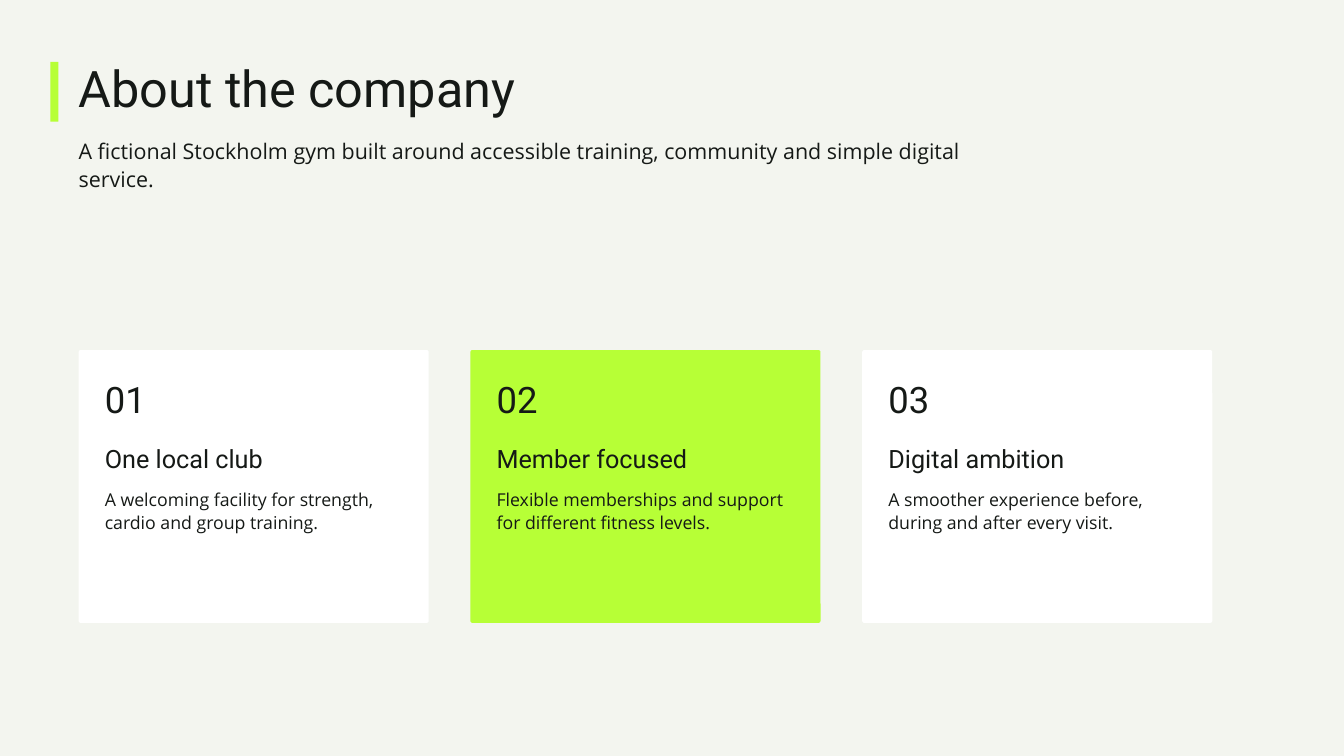
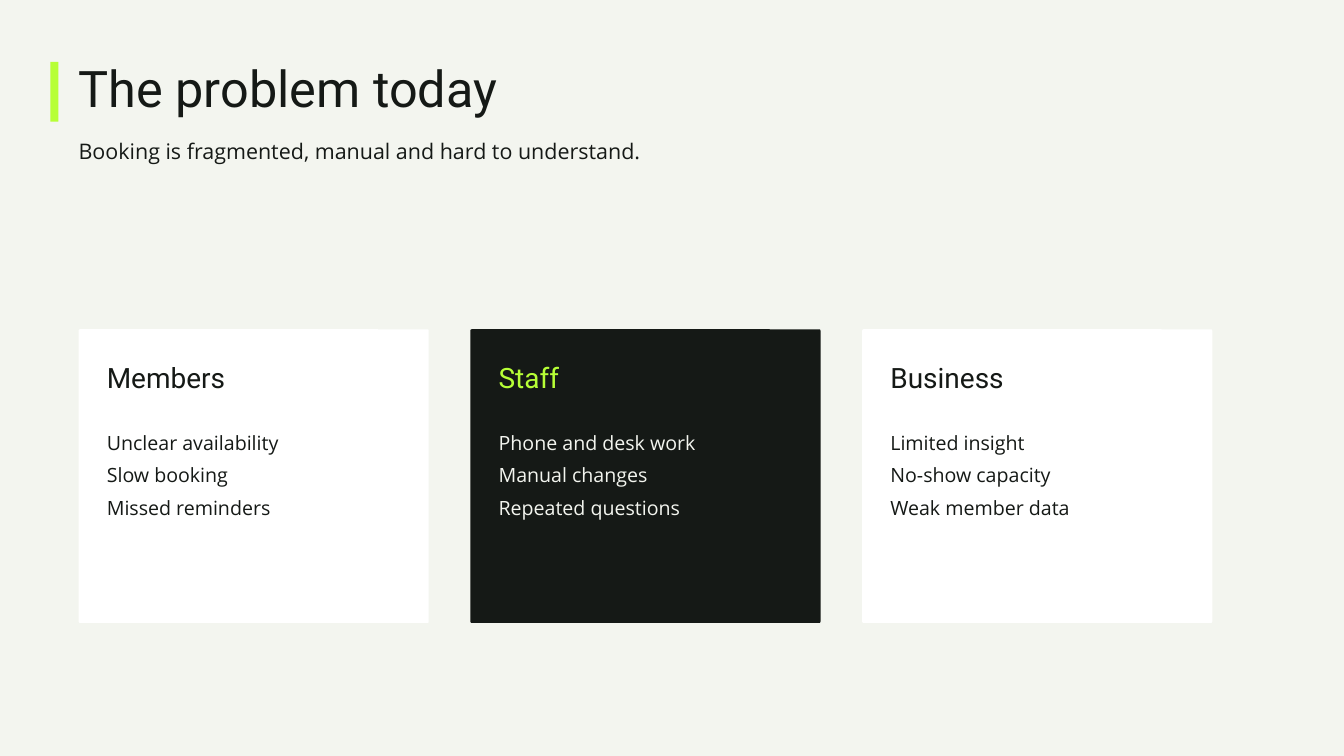
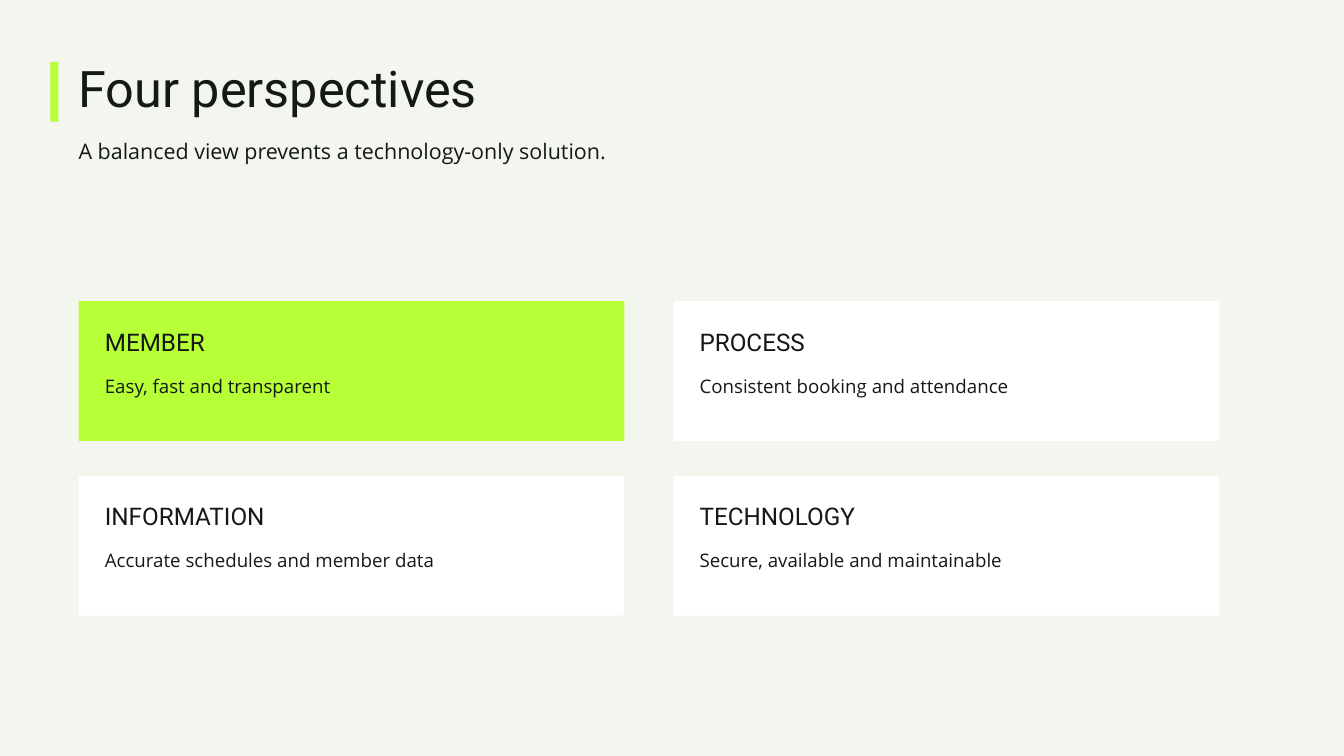
from dataclasses import dataclass

from pptx import Presentation
from pptx.dml.color import RGBColor
from pptx.enum import shapes, text
from pptx.util import Inches, Pt

INK = "151916"
LIME = "B7FF36"
PAPER = "F3F5EF"
WHITE = "FFFFFF"
HEADING_FONT = "Roboto"
BODY_FONT = "Open Sans"
MARGIN = 1.17


@dataclass(frozen=True)
class Style:
    font: str
    size: float
    leading: float


@dataclass(frozen=True)
class Field:
    style: Style
    top: float
    width: float
    height: float


@dataclass(frozen=True)
class Grid:
    top: float
    width: float
    height: float
    columns: int
    column_pitch: float
    row_pitch: float
    radius: float
    inset: float
    fields: tuple[Field, ...]


@dataclass(frozen=True)
class Card:
    texts: tuple[str, ...]
    fill: str = WHITE
    heading_color: str = INK
    body_color: str = INK


@dataclass(frozen=True)
class Page:
    title: str
    subtitle: str
    subtitle_height: float
    grid: Grid
    cards: tuple[Card, ...]


TITLE = Style(HEADING_FONT, 54, 55.1)
SUBTITLE = Style(BODY_FONT, 23, 30.4)

FACTS = Grid(5.21, 5.21, 4.06, 3, 5.83, 0, 0.03, 0.39, (
    Field(Style(HEADING_FONT, 39, 54.6), 0.29, 1.04, 0.76),
    Field(Style(HEADING_FONT, 27, 37.7), 1.31, 4.37, 0.52),
    Field(Style(BODY_FONT, 19, 25.4), 2.02, 4.37, 0.71),
))
PROBLEMS = Grid(4.9, 5.21, 4.37, 3, 5.83, 0, 0.02, 0.42, (
    Field(Style(HEADING_FONT, 30, 42), 0.38, 4.37, 0.58),
    Field(Style(BODY_FONT, 21, 34.6), 1.38, 4.37, 1.45),
))
PERSPECTIVES = Grid(4.48, 8.12, 2.08, 2, 8.85, 2.6, 0.01, 0.39, (
    Field(Style(HEADING_FONT, 26, 35.7), 0.32, 7.19, 0.5),
    Field(Style(BODY_FONT, 20, 27.2), 1.05, 7.19, 0.38),
))

PAGES = (
    Page(
        "About the company",
        "A fictional Stockholm gym built around accessible training, "
        "community and simple digital service.",
        0.84,
        FACTS,
        (
            Card(("01", "One local club",
                  "A welcoming facility for strength, cardio and group training.")),
            Card(("02", "Member focused",
                  "Flexible memberships and support for different fitness levels."),
                 fill=LIME),
            Card(("03", "Digital ambition",
                  "A smoother experience before, during and after every visit.")),
        ),
    ),
    Page(
        "The problem today",
        "Booking is fragmented, manual and hard to understand.",
        0.42,
        PROBLEMS,
        (
            Card(("Members", "Unclear availability\nSlow booking\nMissed reminders")),
            Card(("Staff", "Phone and desk work\nManual changes\nRepeated questions"),
                 fill=INK, heading_color=LIME, body_color=PAPER),
            Card(("Business", "Limited insight\nNo-show capacity\nWeak member data")),
        ),
    ),
    Page(
        "Four perspectives",
        "A balanced view prevents a technology-only solution.",
        0.42,
        PERSPECTIVES,
        (
            Card(("MEMBER", "Easy, fast and transparent"), fill=LIME),
            Card(("PROCESS", "Consistent booking and attendance")),
            Card(("INFORMATION", "Accurate schedules and member data")),
            Card(("TECHNOLOGY", "Secure, available and maintainable")),
        ),
    ),
)


def set_fill(fill, color: str) -> None:
    fill.solid()
    fill.fore_color.rgb = RGBColor.from_string(color)


def add_text(canvas, content: str, *, left: float, top: float, width: float,
             height: float, style: Style, color: str = INK) -> None:
    box = canvas.add_textbox(Inches(left), Inches(top), Inches(width), Inches(height))
    frame = box.text_frame
    frame.margin_left = frame.margin_right = frame.margin_top = frame.margin_bottom = 0
    frame.word_wrap = True
    frame.auto_size = text.MSO_AUTO_SIZE.SHAPE_TO_FIT_TEXT
    frame.text = content
    for para in frame.paragraphs:
        para.line_spacing = Pt(style.leading)
        for span in para.runs:
            span.font.name = style.font
            span.font.size = Pt(style.size)
            span.font.color.rgb = RGBColor.from_string(color)


def add_panel(canvas, *, left: float, top: float, width: float, height: float,
              color: str, radius: float = 0) -> None:
    kind = shapes.MSO_SHAPE.ROUNDED_RECTANGLE if radius else shapes.MSO_SHAPE.RECTANGLE
    panel = canvas.add_shape(kind, Inches(left), Inches(top), Inches(width), Inches(height))
    if radius:
        panel.adjustments[0] = radius / min(width, height)
    panel.shadow.inherit = False
    panel.line.fill.background()
    set_fill(panel.fill, color)


def add_header(canvas, page: Page) -> None:
    add_text(canvas, page.title, left=MARGIN, top=0.99, width=15.63, height=0.77,
             style=TITLE)
    add_text(canvas, page.subtitle, left=MARGIN, top=2.01, width=13.33,
             height=page.subtitle_height, style=SUBTITLE)
    add_panel(canvas, left=0.75, top=0.92, width=0.12, height=0.89, color=LIME)


def add_card(canvas, grid: Grid, index: int, card: Card) -> None:
    row, column = divmod(index, grid.columns)
    left = MARGIN + column * grid.column_pitch
    top = grid.top + row * grid.row_pitch
    group = canvas.add_group_shape().shapes
    add_panel(group, left=left, top=top, width=grid.width, height=grid.height,
              color=card.fill, radius=grid.radius)
    for field, content in zip(grid.fields, card.texts):
        is_heading = field.style.font == HEADING_FONT
        add_text(group, content, left=left + grid.inset, top=top + field.top,
                 width=field.width, height=field.height, style=field.style,
                 color=card.heading_color if is_heading else card.body_color)


def main() -> None:
    deck = Presentation()
    deck.slide_width, deck.slide_height = Inches(20), Inches(11.25)
    for page in PAGES:
        slide = deck.slides.add_slide(deck.slide_layouts[6])
        set_fill(slide.background.fill, PAPER)
        add_header(slide.shapes, page)
        for index, card in enumerate(page.cards):
            add_card(slide.shapes, page.grid, index, card)
    deck.save("out.pptx")


if __name__ == "__main__":
    main()
